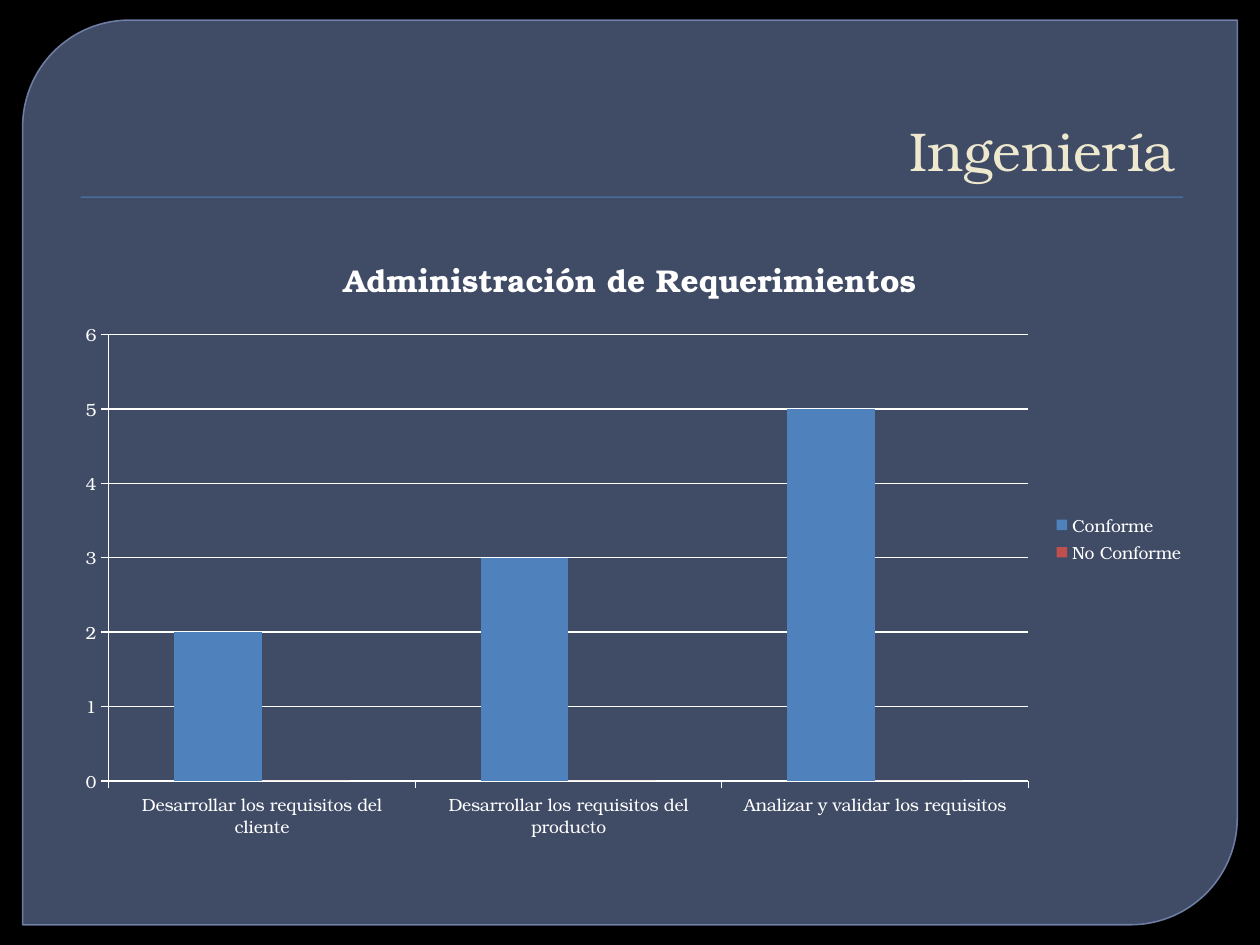
from dataclasses import dataclass

from lxml import etree
from pptx import Presentation
from pptx.chart.data import CategoryChartData
from pptx.dml.color import RGBColor
from pptx.enum.chart import XL_CHART_TYPE, XL_LEGEND_POSITION, XL_TICK_MARK
from pptx.enum.shapes import MSO_SHAPE
from pptx.enum.text import MSO_ANCHOR, PP_ALIGN
from pptx.oxml.ns import qn
from pptx.util import Inches, Pt

CLUSTERED = XL_CHART_TYPE.COLUMN_CLUSTERED
LEGEND_RIGHT = XL_LEGEND_POSITION.RIGHT
TICK_OUTSIDE = XL_TICK_MARK.OUTSIDE
TICK_NONE = XL_TICK_MARK.NONE
ROUND_DIAGONAL = MSO_SHAPE.ROUND_2_DIAG_RECTANGLE
RECTANGLE = MSO_SHAPE.RECTANGLE
BOTTOM = MSO_ANCHOR.BOTTOM
RIGHT = PP_ALIGN.RIGHT
TITLE_ONLY = 5


@dataclass(frozen=True)
class Theme:
    """Colours, font and type sizes of the slide."""

    background: RGBColor = RGBColor.from_string("000000")
    panel: RGBColor = RGBColor.from_string("63759D")
    panel_edge: RGBColor = RGBColor.from_string("7989B3")
    heading: RGBColor = RGBColor.from_string("EDE8CE")
    chart_text: RGBColor = RGBColor.from_string("FFFFFF")
    conforming: RGBColor = RGBColor.from_string("4F81BD")
    nonconforming: RGBColor = RGBColor.from_string("C0504D")
    font: str = "TeX Gyre Bonum"
    heading_size: float = 31.2
    chart_title_size: float = 18
    chart_size: float = 10
    edge_width: float = 0.87
    grid_width: float = 0.75


THEME = Theme()


def share(box, left, top, width, height):
    """Return the part of a box given as shares of its size."""
    x, y, w, h = box
    return (round(x + w * left), round(y + h * top),
            round(w * width), round(h * height))


def set_opacity(fill_owner, percent):
    """Make the solid colour inside a shape's fill or line translucent."""
    colour = fill_owner.find(qn("a:solidFill")).find(qn("a:srgbClr"))
    etree.SubElement(colour, qn("a:alpha")).set("val", str(percent * 1000))


def style_font(font, size, colour, bold=False):
    """Apply the theme's typeface with a size and colour."""
    font.name = THEME.font
    font.size = Pt(size)
    font.bold = bold
    font.color.rgb = colour


def add_panel(slide, box):
    """Draw the translucent panel with two rounded corners."""
    panel = slide.shapes.add_shape(ROUND_DIAGONAL, *box)
    panel.shadow.inherit = False
    panel.adjustments[0] = 0.118
    panel.adjustments[1] = 0
    panel.fill.solid()
    panel.fill.fore_color.rgb = THEME.panel
    panel.line.color.rgb = THEME.panel_edge
    panel.line.width = Pt(THEME.edge_width)
    properties = panel.element.spPr
    set_opacity(properties, 65)
    set_opacity(properties.find(qn("a:ln")), 88)


def add_rule(slide, box):
    """Draw the thin bar under the heading."""
    rule = slide.shapes.add_shape(RECTANGLE, *box)
    rule.shadow.inherit = False
    rule.fill.solid()
    rule.fill.fore_color.rgb = THEME.conforming
    rule.line.fill.background()


def place_heading(slide, box, text):
    """Format the title placeholder and bring it to the front."""
    heading = slide.shapes.title
    heading.left, heading.top, heading.width, heading.height = box
    frame = heading.text_frame
    frame.text = text
    frame.word_wrap = True
    frame.vertical_anchor = BOTTOM
    paragraph = frame.paragraphs[0]
    paragraph.alignment = RIGHT
    style_font(paragraph.font, THEME.heading_size, THEME.heading)
    heading.element.getparent().append(heading.element)


def style_line(line):
    """Give an axis or gridline the chart's line style."""
    line.color.rgb = THEME.chart_text
    line.width = Pt(THEME.grid_width)


def add_requirements_chart(slide, box, title, categories, series):
    """Add the column chart with its title, axes and legend."""
    data = CategoryChartData()
    data.categories = categories
    for name, values, _ in series:
        data.add_series(name, values)
    chart = slide.shapes.add_chart(CLUSTERED, *box, data).chart
    style_font(chart.font, THEME.chart_size, THEME.chart_text)

    chart.has_title = True
    chart.chart_title.include_in_layout = False
    chart.chart_title.text_frame.text = title
    style_font(chart.chart_title.text_frame.paragraphs[0].font,
               THEME.chart_title_size, THEME.chart_text, bold=True)

    chart.has_legend = True
    chart.legend.position = LEGEND_RIGHT
    chart.legend.include_in_layout = False

    for axis in (chart.category_axis, chart.value_axis):
        axis.major_tick_mark = TICK_OUTSIDE
        axis.minor_tick_mark = TICK_NONE
        style_line(axis.format.line)
    chart.value_axis.minimum_scale = 0
    chart.value_axis.maximum_scale = 6
    chart.value_axis.major_unit = 1
    chart.value_axis.has_major_gridlines = True
    style_line(chart.value_axis.major_gridlines.format.line)

    plot = chart.plots[0]
    plot.gap_width = 150
    plot.overlap = 0
    plot.vary_by_categories = False
    for columns, (_, _, colour) in zip(plot.series, series):
        columns.format.fill.solid()
        columns.format.fill.fore_color.rgb = colour


def build_chart_slide(presentation, box):
    """Compose the panel, heading and chart within the slide's box."""
    slide = presentation.slides.add_slide(
        presentation.slide_layouts[TITLE_ONLY])
    slide.background.fill.solid()
    slide.background.fill.fore_color.rgb = THEME.background
    add_panel(slide, share(box, 0.018, 0.0213, 0.964, 0.9787 - 0.0213 + 0.0213 - 0.0213))
    add_rule(slide, share(box, 0.064, 0.208, 0.875, 0.0013))
    add_requirements_chart(
        slide, share(box, 0.05, 0.24, 0.9, 0.66),
        "Administración de Requerimientos",
        ["Desarrollar los requisitos del cliente",
         "Desarrollar los requisitos del producto",
         "Analizar y validar los requisitos"],
        [("Conforme", (2, 3, 5), THEME.conforming),
         ("No Conforme", (0, 0, 0), THEME.nonconforming)])
    place_heading(slide, share(box, 0.043, 0.084, 0.9, 0.116), "Ingeniería")


def main():
    """Build the presentation and save it."""
    presentation = Presentation()
    presentation.slide_width = Inches(10)
    presentation.slide_height = Inches(7.5)
    build_chart_slide(presentation, (0, 0, presentation.slide_width,
                                     presentation.slide_height))
    presentation.save("out.pptx")


if __name__ == "__main__":
    main()
